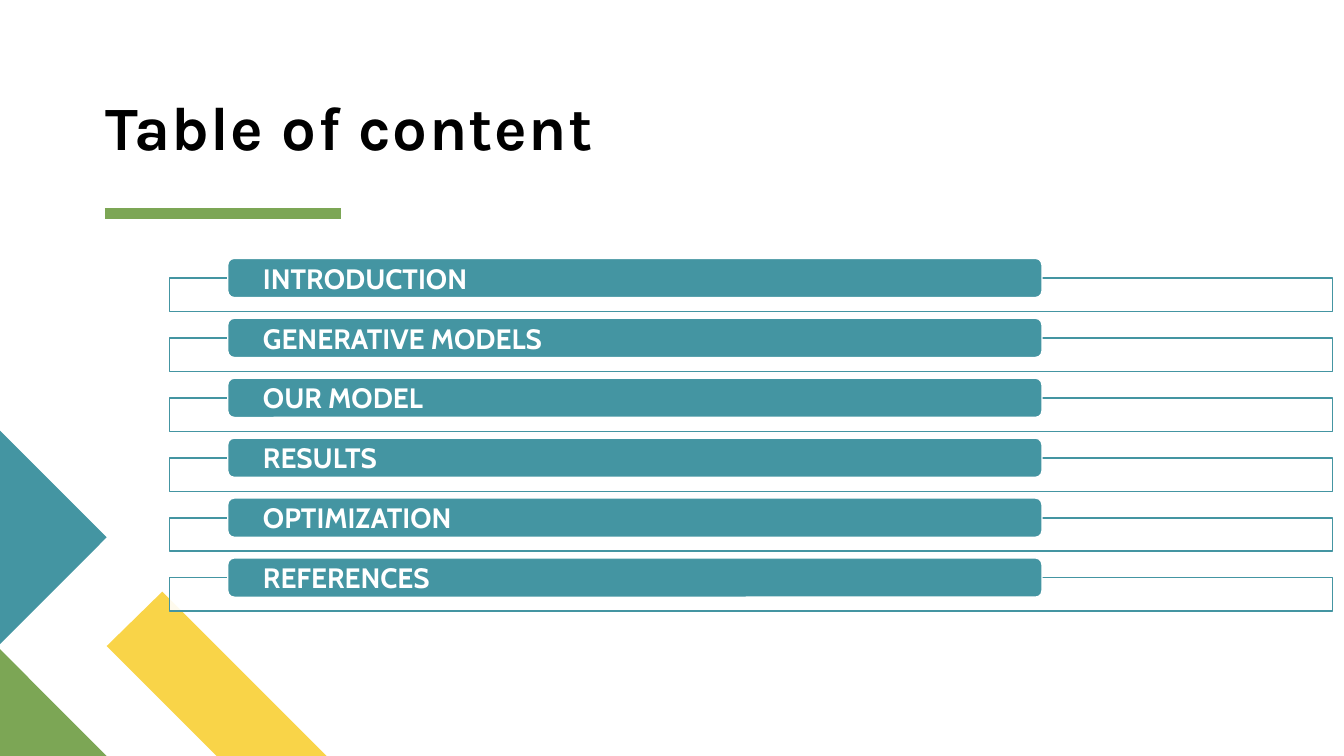
from dataclasses import dataclass

from pptx import Presentation
from pptx.dml.color import RGBColor as RGB
from pptx.enum.shapes import MSO_CONNECTOR as Connector, MSO_SHAPE as Preset
from pptx.enum.text import MSO_ANCHOR as Anchor, PP_ALIGN as Align
from pptx.oxml.ns import qn
from pptx.oxml.xmlchemy import OxmlElement
from pptx.util import Cm, Pt


@dataclass(frozen=True)
class Theme:
    teal: RGB = RGB(0x44, 0x95, 0xA2)
    green: RGB = RGB(0x7C, 0xA6, 0x55)
    yellow: RGB = RGB(0xF9, 0xD4, 0x48)
    white: RGB = RGB(0xFF, 0xFF, 0xFF)
    black: RGB = RGB(0, 0, 0)
    title_font: str = "Karla"
    entry_font: str = "Cabin"
    title_size: int = 44
    entry_size: int = 20
    outline: int = 1
    underline: int = 8


@dataclass(frozen=True)
class Ornament:
    color: RGB
    corners: tuple[tuple[float, float], ...]


@dataclass(frozen=True)
class Box:
    left: float
    top: float
    width: float
    height: float

    def lengths(self, drop: float = 0) -> tuple[int, ...]:
        return Cm(self.left), Cm(self.top + drop), Cm(self.width), Cm(self.height)


THEME = Theme()
ORNAMENTS = (
    Ornament(THEME.yellow, ((8.23, 19.05), (5.46, 19.05), (2.69, 16.28), (4.09, 14.91))),
    Ornament(THEME.green, ((2.69, 19.05), (0, 19.05), (0, 16.36))),
    Ornament(THEME.teal, ((0, 10.85), (2.69, 13.54), (0, 16.23))),
)
ENTRIES = ("INTRODUCTION", "GENERATIVE MODELS", "OUR MODEL",
           "RESULTS", "OPTIMIZATION", "REFERENCES")
TITLE = Box(2.67, 2.44, 13.72, 1.7)
FRAME = Box(4.27, 7.01, 29.31, 0.84)
BAR = Box(5.74, 6.51, 20.52, 0.99)
ENTRY_PITCH = 1.51
ENTRY_INDENT = Cm(0.84)


def apply(target, values: dict) -> None:
    for name, value in values.items():
        setattr(target, name, value)


def paint(shape, fill: RGB, line: RGB | None = None) -> None:
    shape.shadow.inherit = False
    shape.fill.solid()
    shape.fill.fore_color.rgb = fill
    if line is None:
        shape.line.fill.background()
    else:
        shape.line.color.rgb = line
        shape.line.width = Pt(THEME.outline)


def write(shape, text: str, frame: dict, paragraph: dict, font: dict, color: RGB):
    body = shape.text_frame
    apply(body, {"word_wrap": True, "margin_top": 0, "margin_bottom": 0, **frame})
    line = body.paragraphs[0]
    apply(line, paragraph)
    run = line.add_run()
    run.text = text
    apply(run.font, {"bold": True, **font})
    run.font.color.rgb = color
    return run


def draw_ornament(slide, ornament: Ornament) -> None:
    start, *others = [(Cm(x), Cm(y)) for x, y in ornament.corners]
    outline = slide.shapes.build_freeform(*start)
    outline.add_line_segments(others, close=True)
    paint(outline.convert_to_shape(), ornament.color)


def draw_title(slide) -> None:
    # Heading with slightly widened letter spacing
    heading = slide.shapes.add_textbox(*TITLE.lengths())
    run = write(heading, "Table of content",
                {"margin_left": 0, "margin_right": 0, "vertical_anchor": Anchor.BOTTOM},
                {"line_spacing": 0.9},
                {"name": THEME.title_font, "size": Pt(THEME.title_size)}, THEME.black)
    run.font._element.set("spc", "100")

    # Green rule below the heading
    rule = slide.shapes.add_connector(Connector.STRAIGHT, Cm(2.64), Cm(5.39), Cm(8.59), Cm(5.39))
    rule.line.color.rgb = THEME.green
    rule.line.width = Pt(THEME.underline)
    rule._element.spPr.append(OxmlElement("a:effectLst"))


def draw_entry(slide, text: str, drop: float) -> None:
    # Outlined frame, filled with 90 % opaque white
    frame = slide.shapes.add_shape(Preset.RECTANGLE, *FRAME.lengths(drop))
    paint(frame, THEME.white, THEME.teal)
    alpha = OxmlElement("a:alpha")
    alpha.set("val", "90000")
    frame._element.spPr.find(qn("a:solidFill"))[0].append(alpha)

    # Teal bar carrying the entry
    bar = slide.shapes.add_shape(Preset.ROUNDED_RECTANGLE, *BAR.lengths(drop))
    paint(bar, THEME.teal, THEME.white)
    write(bar, text,
          {"margin_left": ENTRY_INDENT, "margin_right": ENTRY_INDENT,
           "vertical_anchor": Anchor.MIDDLE},
          {"alignment": Align.LEFT},
          {"name": THEME.entry_font, "size": Pt(THEME.entry_size)}, THEME.white)


def main() -> None:
    deck = Presentation()
    apply(deck, {"slide_width": Cm(33.87), "slide_height": Cm(19.05)})
    slide = deck.slides.add_slide(deck.slide_layouts[6])
    for ornament in ORNAMENTS:
        draw_ornament(slide, ornament)
    draw_title(slide)
    for row, entry in enumerate(ENTRIES):
        draw_entry(slide, entry, row * ENTRY_PITCH)
    deck.save("out.pptx")


if __name__ == "__main__":
    main()
